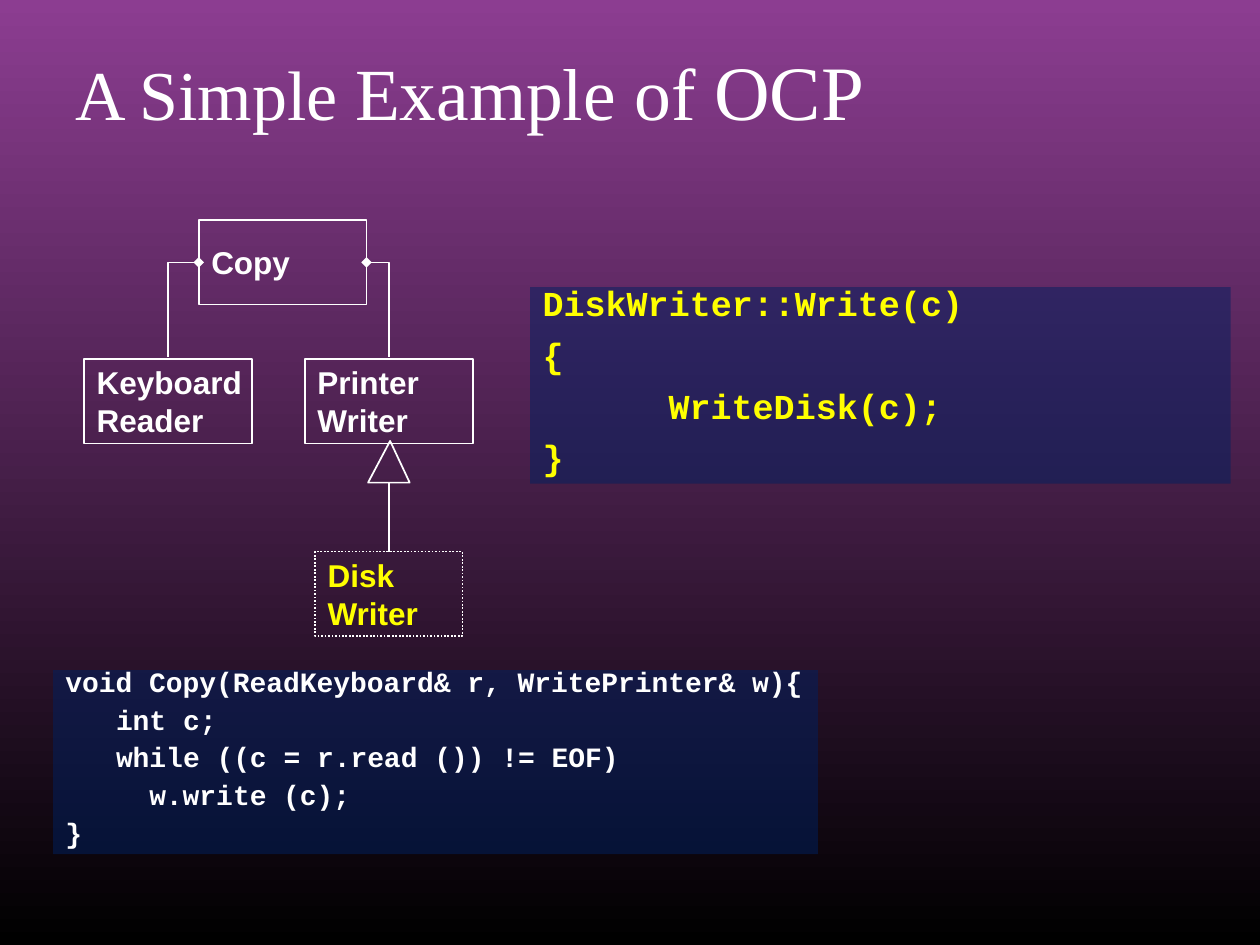
from lxml.etree import SubElement
from pptx import Presentation
from pptx.dml.color import RGBColor
from pptx.enum.dml import MSO_LINE
from pptx.enum.shapes import MSO_CONNECTOR, MSO_SHAPE
from pptx.enum.text import MSO_ANCHOR, MSO_AUTO_SIZE, PP_ALIGN
from pptx.oxml.ns import qn
from pptx.util import Cm, Pt

WHITE = RGBColor(0xFF, 0xFF, 0xFF)
YELLOW = RGBColor(0xFF, 0xFF, 0x00)
NAVY = RGBColor(0x00, 0x20, 0x60)
BLACK = RGBColor(0x00, 0x00, 0x00)
PURPLE = RGBColor(0x8C, 0x3D, 0x91)


def add_run(p, text, font, size, color, bold=False):
    """Append one formatted run to a paragraph."""
    r = p.add_run()
    r.text = text
    r.font.name = font
    r.font.size = Pt(size)
    r.font.bold = bold
    r.font.color.rgb = color


def add_lines(tf, lines, font, size, color):
    """Write bold left-aligned lines, one paragraph each, and return the paragraphs."""
    for i, line in enumerate(lines):
        p = tf.paragraphs[0] if i == 0 else tf.add_paragraph()
        p.alignment = PP_ALIGN.LEFT
        add_run(p, line, font, size, color, bold=True)
    return tf.paragraphs


def paint_background(s):
    """Fill the slide with a gradient rising from black to purple."""
    fill = s.background.fill
    fill.gradient()
    fill.gradient_angle = 90
    for stop, color, position in zip(fill.gradient_stops, (BLACK, PURPLE), (0, 1)):
        stop.color.rgb = color
        stop.position = position


def add_title(s, x, y, w, h):
    """Place the title, whose runs grow in size."""
    tf = s.shapes.add_textbox(Cm(x), Cm(y), Cm(w), Cm(h)).text_frame
    tf.word_wrap = True
    p = tf.paragraphs[0]
    for text, size in (("A Simple ", 40), ("Example of ", 42), ("OCP", 44)):
        add_run(p, text, "Times New Roman", size, WHITE)


def add_code(s, x, y, w, h, lines, size, color, spacing, before):
    """Place a translucent code panel; lines are pairs of indent in cm and text."""
    sp = s.shapes.add_shape(MSO_SHAPE.RECTANGLE, Cm(x), Cm(y), Cm(w), Cm(h))
    sp.shadow.inherit = False
    sp.fill.solid()
    sp.fill.fore_color.rgb = NAVY
    SubElement(sp.fill._xPr.find(".//" + qn("a:srgbClr")), qn("a:alpha"), val="50000")
    sp.line.fill.background()
    tf = sp.text_frame
    tf.word_wrap = True
    tf.auto_size = MSO_AUTO_SIZE.SHAPE_TO_FIT_TEXT
    tf.vertical_anchor = MSO_ANCHOR.TOP
    texts = [text for _, text in lines]
    for p, (indent, _) in zip(add_lines(tf, texts, "Courier New", size, color), lines):
        p.line_spacing = spacing
        p.space_before = Pt(before)
        p._p.get_or_add_pPr().set("marL", str(int(Cm(indent))))


def add_outline(s, shape, x, y, w, h):
    """Place an unfilled white-lined shape."""
    sp = s.shapes.add_shape(shape, Cm(x), Cm(y), Cm(w), Cm(h))
    sp.shadow.inherit = False
    sp.fill.background()
    sp.line.color.rgb = WHITE
    sp.line.width = Pt(1)
    return sp


def add_class(s, x, y, w, h, lines, color=WHITE):
    """Place a class box with its name."""
    sp = add_outline(s, MSO_SHAPE.RECTANGLE, x, y, w, h)
    tf = sp.text_frame
    tf.word_wrap = False
    tf.vertical_anchor = MSO_ANCHOR.MIDDLE
    add_lines(tf, lines, "Arial", 18, color)
    return sp


def add_link(s, kind, x1, y1, x2, y2):
    """Draw a thin white connector without shadow."""
    cxn = s.shapes.add_connector(kind, Cm(x1), Cm(y1), Cm(x2), Cm(y2))
    cxn.line.color.rgb = WHITE
    cxn.line.width = Pt(0.75)
    SubElement(cxn._element.spPr, qn("a:effectLst"))
    return cxn


def add_aggregation(s, x1, y1, x2, y2):
    """Draw a one-bend connector that starts with a diamond."""
    cxn = add_link(s, MSO_CONNECTOR.ELBOW, x1, y1, x2, y2)
    cxn._element.spPr.find(qn("a:prstGeom")).set("prst", "bentConnector2")
    SubElement(cxn.line._get_or_add_ln(), qn("a:headEnd"), type="diamond")


def add_diagram(s, x, y, w, h):
    """Place the class diagram in its box."""
    box_w, box_h = 3.38, 1.7
    copy_x = x + 2.31
    right_x = x + w - box_w
    reader_mid, writer_mid = x + box_w / 2, right_x + box_w / 2
    row_y = y + 2.8
    mid_y = y + box_h / 2
    add_class(s, copy_x, y, box_w, box_h, ["Copy"])
    add_aggregation(s, copy_x, mid_y, reader_mid, row_y - 0.05)
    add_aggregation(s, copy_x + box_w, mid_y, writer_mid, row_y - 0.05)
    add_class(s, x, row_y, box_w, box_h, ["Keyboard", "Reader"])
    add_class(s, right_x, row_y, box_w, box_h, ["Printer", "Writer"])

    side = 0.84
    triangle = add_outline(s, MSO_SHAPE.ISOSCELES_TRIANGLE,
                           writer_mid - side / 2, y + 4.45, side, side)
    triangle.adjustments[0] = 0.53
    disk_w, disk_y = 2.97, y + h - box_h
    disk = add_class(s, writer_mid - disk_w / 2, disk_y, disk_w, box_h,
                     ["Disk", "Writer"], YELLOW)
    disk.line.dash_style = MSO_LINE.ROUND_DOT
    stem = add_link(s, MSO_CONNECTOR.STRAIGHT, writer_mid, y + 4.45 + side,
                    writer_mid, disk_y)
    stem.end_connect(disk, 0)


def main():
    """Build and save the slide."""
    prs = Presentation()
    prs.slide_width, prs.slide_height = Cm(25.4), Cm(19.05)
    s = prs.slides.add_slide(prs.slide_layouts[6])
    paint_background(s)
    add_title(s, 1.27, 0.76, 22.86, 3.18)
    add_code(s, 10.69, 5.79, 14.12, 3.96,
             [(0, "DiskWriter::Write(c)"), (0, "{"), (2.54, "WriteDisk(c);"), (0, "}")],
             20, YELLOW, 0.7, 12.5)
    add_diagram(s, 1.7, 4.44, 7.83, 8.38)
    add_code(s, 1.07, 13.51, 15.42, 3.71,
             [(0, "void Copy(ReadKeyboard& r, WritePrinter& w){"), (1.02, "int c;"),
              (1.02, "while ((c = r.read ()) != EOF)"), (1.69, "w.write (c);"), (0, "}")],
             16, WHITE, 0.6, 10)
    prs.save("out.pptx")


if __name__ == "__main__":
    main()
